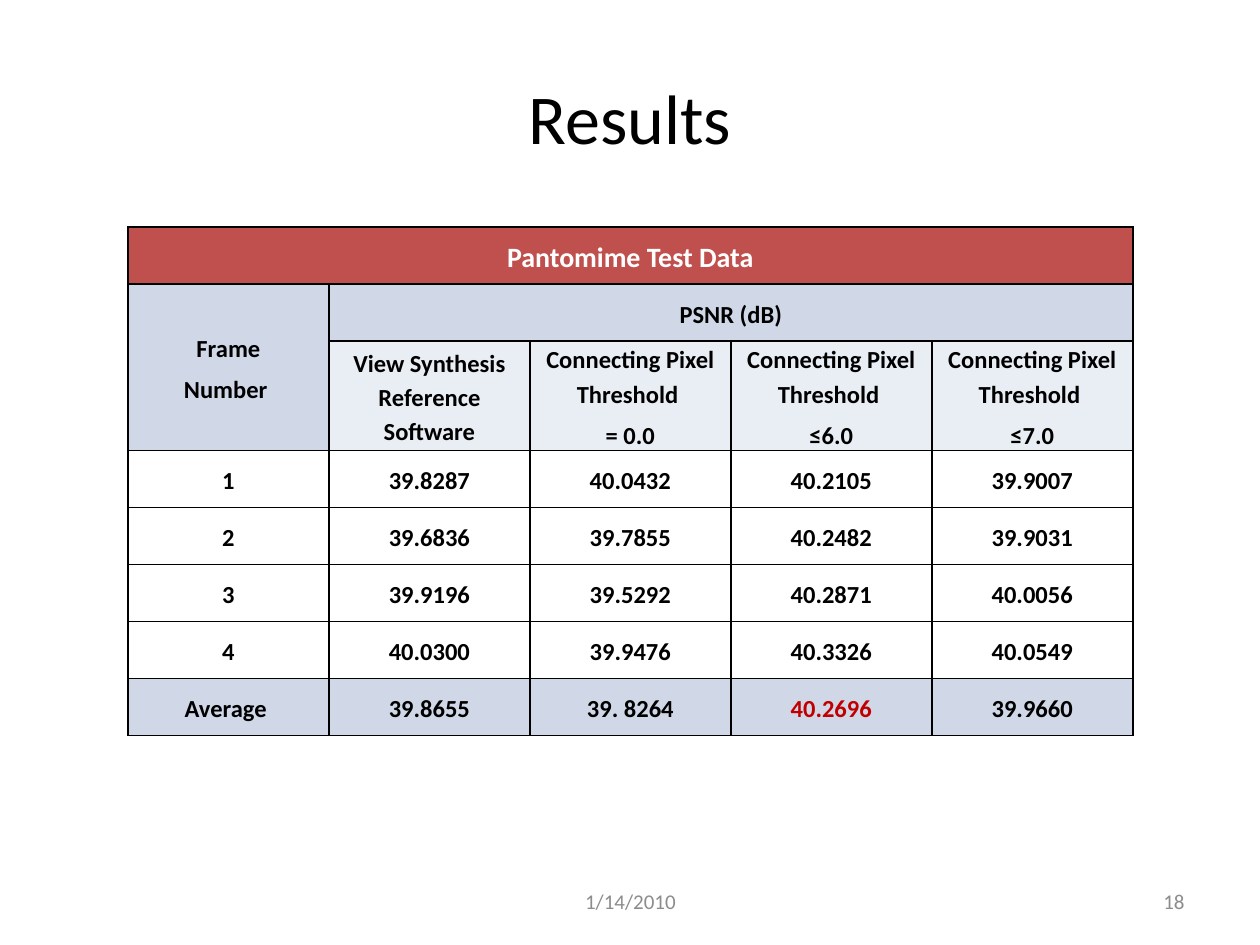
from lxml import etree
from pptx import Presentation
from pptx.dml.color import RGBColor
from pptx.enum.text import MSO_ANCHOR, PP_ALIGN
from pptx.oxml.ns import qn
from pptx.util import Pt

MIDDLE = MSO_ANCHOR.MIDDLE
CENTER, RIGHT = PP_ALIGN.CENTER, PP_ALIGN.RIGHT
BLACK = RGBColor(0x00, 0x00, 0x00)
WHITE = RGBColor(0xFF, 0xFF, 0xFF)
GRAY = RGBColor(0x8C, 0x8C, 0x8C)
BRICK = RGBColor(0xC0, 0x50, 0x4D)
BLUE = RGBColor(0xD0, 0xD8, 0xE8)
PALE = RGBColor(0xE9, 0xED, 0xF4)
RED = RGBColor(0xC0, 0x00, 0x00)
PX = 914400 / 126


def px(*lengths):
    return [round(n * PX) for n in lengths]


def write(tf, text, size=14, color=BLACK, bold=False, align=CENTER,
          spacing=None, after=None):
    for i, line in enumerate(text.split("\n")):
        p = tf.add_paragraph() if i else tf.paragraphs[0]
        p.alignment = align
        p.line_spacing = spacing
        p.space_after = after
        r = p.add_run()
        r.text = line
        r.font.name = "Calibri"
        r.font.size = Pt(size)
        r.font.bold = bold
        r.font.color.rgb = color


prs = Presentation()
prs.slide_width, prs.slide_height = px(1260, 945)
s = prs.slides.add_slide(prs.slide_layouts[5])

# Title
title = s.shapes.title
title.left, title.top, title.width, title.height = px(63, 38, 1134, 158)
title.text_frame.vertical_anchor = MIDDLE
write(title.text_frame, "Results", size=40)

# Table contents; None marks a cell covered by a merge
THRESHOLD = "Connecting Pixel Threshold \n"
rows = [
    ["Pantomime Test Data", None, None, None, None],
    ["Frame\nNumber ", "PSNR (dB)", None, None, None],
    [None, "View Synthesis Reference Software",
     THRESHOLD + "= 0.0", THRESHOLD + "≤6.0", THRESHOLD + "≤7.0"],
    ["1", "39.8287", "40.0432", "40.2105", "39.9007"],
    ["2", "39.6836", "39.7855", "40.2482", "39.9031"],
    ["3", "39.9196", "39.5292", "40.2871", "40.0056"],
    ["4", "40.0300", "39.9476", "40.3326", "40.0549"],
    ["Average ", "39.8655", "39. 8264", "40.2696", "39.9660"],
]
fills = [BRICK, BLUE, PALE, WHITE, WHITE, WHITE, WHITE, BLUE]
heights = px(57, 57, 109, 57, 57, 57, 57, 57)

# Table grid
table = s.shapes.add_table(len(rows), 5, *px(128, 227, 1005, 508)).table
table.first_row = table.horz_banding = False
for col in table.columns:
    col.width = px(201)[0]
for row, height in zip(table.rows, heights):
    row.height = height

# Cell text, borders and fills
for i, (row, fill) in enumerate(zip(rows, fills)):
    for j, text in enumerate(row):
        cell = table.cell(i, j)
        cell.vertical_anchor = MIDDLE
        cell.margin_left, cell.margin_right = px(9, 9)
        cell.margin_top = cell.margin_bottom = 0
        tcPr = cell._tc.get_or_add_tcPr()
        for side in ("a:lnL", "a:lnR", "a:lnT", "a:lnB"):
            ln = etree.SubElement(tcPr, qn(side), w=str(Pt(1)))
            line_fill = etree.SubElement(ln, qn("a:solidFill"))
            etree.SubElement(line_fill, qn("a:srgbClr"), val=str(BLACK))
        cell.fill.solid()
        cell.fill.fore_color.rgb = fill
        if text:
            color = WHITE if i == 0 else RED if text == "40.2696" else BLACK
            write(cell.text_frame, text, size=14 if i else 16, color=color,
                  bold=True, spacing=1.15, after=Pt(3.8))

# Merged headings
for first, last in (((0, 0), (0, 4)), ((1, 0), (2, 0)), ((1, 1), (1, 4))):
    table.cell(*first).merge(table.cell(*last))

# Slide number and date
for text, box, align in (("18", (903, 876, 294, 50), RIGHT),
                         ("1/14/2010", (431, 876, 399, 50), CENTER)):
    tf = s.shapes.add_textbox(*px(*box)).text_frame
    tf.word_wrap = True
    tf.vertical_anchor = MIDDLE
    write(tf, text, size=12, color=GRAY, align=align)

prs.save("out.pptx")
